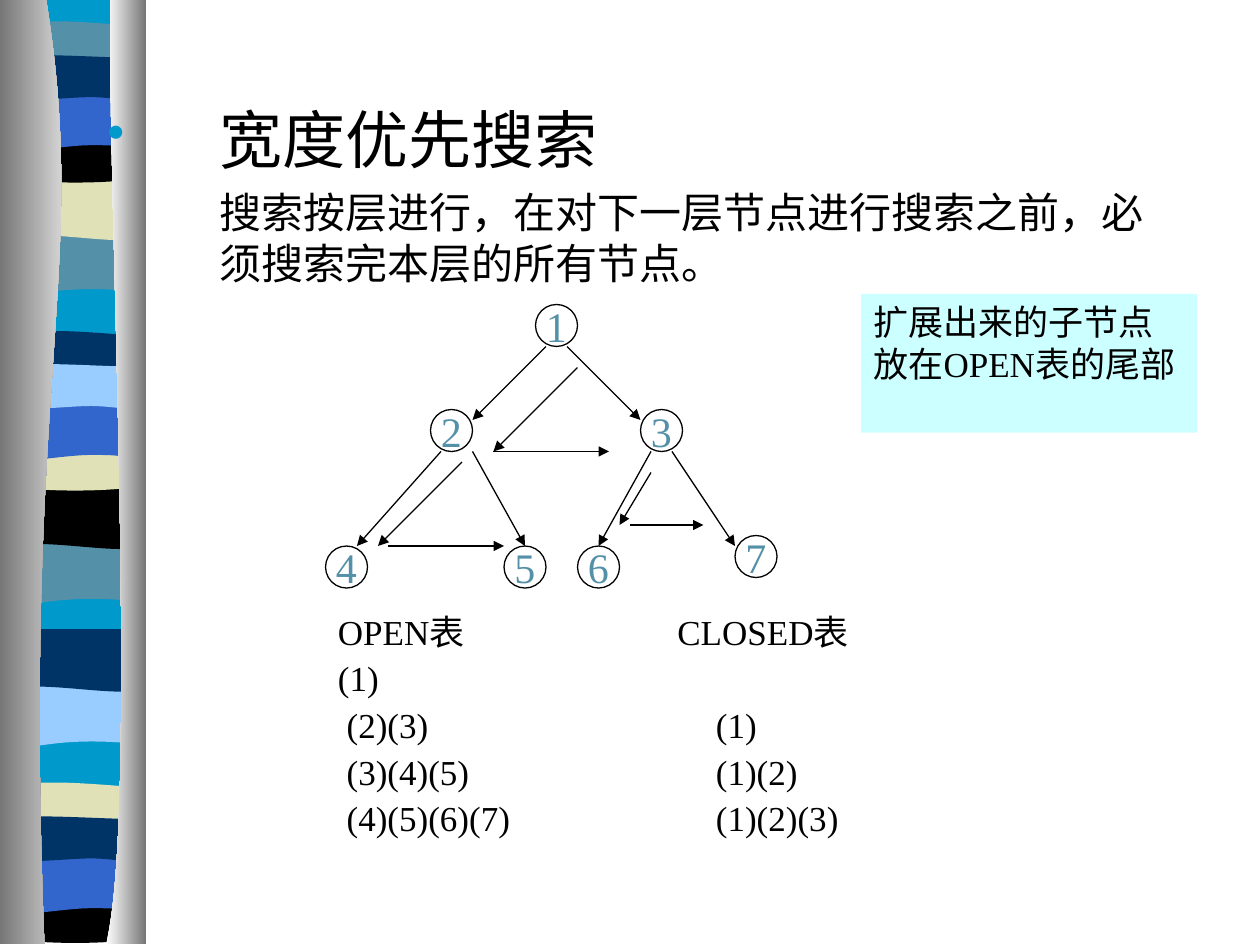
import pptx
import pptx.dml.color
import pptx.enum.shapes
import pptx.enum.text
import pptx.oxml
import pptx.oxml.ns
import pptx.util

Pt = pptx.util.Pt
BLACK, CYAN, STEEL, NAVY = "000000", "0099CC", "5490A8", "003366"
BLUE, SKY, SAND, GREY, WHITE = "3366CC", "99CCFF", "E1E1B7", "767676", "FFFFFF"


def colour(code):
    return pptx.dml.color.RGBColor.from_string(code)


def add_xml(parent, tag, **attributes):
    element = parent.makeelement(pptx.oxml.ns.qn("a:" + tag), attributes)
    parent.append(element)
    return element


def bend(shape, edges):
    """Turn the line segments of every edge of 3n + 1 points into Bezier curves."""
    lines = list(shape._element.iter(pptx.oxml.ns.qn("a:lnTo")))
    position = 0
    for edge in edges:
        if len(edge) % 3 == 1 and len(edge) > 1:
            for first in range(position, position + len(edge) - 1, 3):
                start, *others = lines[first:first + 3]
                start.tag = pptx.oxml.ns.qn("a:cubicBezTo")
                for line in others:
                    start.append(line[0])
                    line.getparent().remove(line)
        position += len(edge)


class Painter:
    """Draws elements on the current slide in one style; lengths in points."""

    serif = "Times New Roman"
    line_width = 0.75

    def __init__(self, page):
        self.page = page
        self.shapes = page.shapes

    def outline(self, edges, fills):
        """Closed outline of edges: one colour, or two for a left-to-right gradient."""
        corners = [(Pt(x), Pt(y)) for edge in edges for x, y in edge]
        builder = self.shapes.build_freeform(*corners[0])
        builder.add_line_segments(corners[1:], close=True)
        shape = builder.convert_to_shape()
        bend(shape, edges)
        shape.shadow.inherit = False
        shape.line.fill.background()
        if len(fills) == 1:
            shape.fill.solid()
            shape.fill.fore_color.rgb = colour(fills[0])
        else:
            shape.fill.gradient()
            shape.fill.gradient_angle = 0
            for stop, code in zip(shape.fill.gradient_stops, fills):
                stop.color.rgb = colour(code)

    def span(self, para, text, size, font=serif, code=BLACK):
        span = para.add_run()
        span.text = text
        span.font.size = Pt(size)
        span.font.name = font
        span.font.color.rgb = colour(code)

    def text_box(self, left, top, width, height, fill=None):
        box = self.shapes.add_textbox(Pt(left), Pt(top), Pt(width), Pt(height))
        box.text_frame.word_wrap = True
        if fill:
            box.fill.solid()
            box.fill.fore_color.rgb = colour(fill)
        return box.text_frame

    def indent(self, para, margin):
        properties = para._p.get_or_add_pPr()
        properties.set("marL", str(Pt(margin)))
        return properties

    def bullet(self, para, margin, code):
        properties = self.indent(para, margin)
        properties.set("indent", str(Pt(-margin)))
        add_xml(add_xml(properties, "buClr"), "srgbClr", val=code)
        add_xml(properties, "buSzPct", val="80000")
        add_xml(properties, "buChar", char="•")

    def tab_stop(self, para, position):
        tabs = add_xml(para._p.get_or_add_pPr(), "tabLst")
        add_xml(tabs, "tab", pos=str(Pt(position)), algn="l")

    def node(self, label, left, top, size=24):
        circle = self.shapes.add_shape(
            pptx.enum.shapes.MSO_SHAPE.OVAL, Pt(left), Pt(top), Pt(size), Pt(size))
        circle.shadow.inherit = False
        circle.fill.background()
        circle.line.color.rgb = colour(BLACK)
        circle.line.width = Pt(self.line_width)
        frame = circle.text_frame
        frame.word_wrap = False
        frame.vertical_anchor = pptx.enum.text.MSO_ANCHOR.MIDDLE
        para = frame.paragraphs[0]
        para.alignment = pptx.enum.text.PP_ALIGN.CENTER
        self.span(para, label, 24, code=STEEL)
        return circle

    def arrow(self, start, end, target=None):
        """Arrow between two points; joined to the top of target if given."""
        arrow = self.shapes.add_connector(
            pptx.enum.shapes.MSO_CONNECTOR.STRAIGHT, *map(Pt, start + end))
        if target:
            arrow.end_connect(target, 0)
        arrow.line.color.rgb = colour(BLACK)
        arrow.line.width = Pt(self.line_width)
        add_xml(arrow.line._get_or_add_ln(), "tailEnd", type="triangle")
        add_xml(arrow._element.spPr, "effectLst")


# Each band shape: top edge from left to right, bottom edge from right to left.
LEFT, RIGHT = 4, 82
FLAT = [(LEFT, 0), (RIGHT, 0)]
BANDS = {
    "wave": (FLAT, [(RIGHT, 34), (28, 28), (17, 39.6), (LEFT, 34)]),
    "swell": (FLAT, [(RIGHT, 34), (69, 39.6), (28, 29.5), (LEFT, 34)]),
    "thin": ([(LEFT, 3.6), (8.6, 0), (21, 0.7), (34, 0.7), (47, 0.7), (72, 3), (RIGHT, 3.6)],
             [(RIGHT, 21), (69, 24), (17, 24), (LEFT, 21)]),
    "sag": ([(LEFT, 0), (52, 3.6), (65.5, 0), (RIGHT, 0)],
            [(RIGHT, 23), (69, 27.4), (17, 27.4), (LEFT, 23)]),
    "arch": (FLAT, [(RIGHT, 34), (70, 30), (65, 30), (52, 30), (39, 30), (16, 34), (LEFT, 34)]),
    "ripple": ([(LEFT, 3.6), (15, 0), (57, 3.6), (RIGHT, 3.6)],
               [(RIGHT, 26), (77, 29.5), (65, 26), (52, 26), (39, 26), (12, 29.5), (LEFT, 26)]),
}
STRIPES = [
    ("wave", 133, STEEL), ("swell", 101.5, SAND), ("thin", 11.5, STEEL),
    ("sag", 78, BLACK), ("arch", 53, BLUE), ("ripple", 29.5, NAVY),
    ("wave", 310, STEEL), ("swell", 278, BLACK), ("thin", 188.5, NAVY),
    ("sag", 254, SAND), ("arch", 230, BLUE), ("ripple", 206, SKY),
    ("wave", 391.5, SKY), ("swell", 359.5, NAVY), ("thin", 446.5, SAND),
    ("sag", 512.5, BLACK), ("arch", 489, BLUE), ("ripple", 464.5, NAVY),
]
NODES = {"1": (306, 174), "2": (246, 234), "3": (366, 234), "4": (186, 312),
         "5": (288, 312), "6": (330, 312), "7": (420, 306)}
ARROWS = [
    ((312, 198), (270, 240), None), ((324, 198), (366, 240), None),
    ((252, 258), (204, 312), None), ((270, 258), (300, 312), "5"),
    ((372, 258), (342, 312), "6"), ((384, 258), (420, 312), None),
    ((330, 210), (282, 258), None), ((282, 258), (348, 258), None),
    ((264, 264), (216, 312), None), ((222, 312), (288, 312), None),
    ((372, 270), (354, 300), None), ((360, 300), (402, 300), None),
]
LISTS = [("OPEN表", "CLOSED表"), ("(1)", ""), ("(2)(3)", "(1)"),
         ("(3)(4)(5)", "(1)(2)"), ("(4)(5)(6)(7)", "(1)(2)(3)")]


def draw_border(painter):
    painter.outline([FLAT, [(RIGHT, 538), (LEFT, 538)]], [CYAN])
    for kind, top, code in STRIPES:
        painter.outline([[(x, y + top) for x, y in edge] for edge in BANDS[kind]], [code])
    left_edge = [(26.4, 0), (51.4, 155.5), (12.4, 213), (25.4, 539.5)]
    painter.outline([left_edge, [(0, 539.5), (0, 0)]], [GREY, WHITE])
    right_edge = [(63.2, 0), (60.6, 90), (80, 465), (60.6, 539.5)]
    painter.outline([right_edge, [(83.5, 539.5), (83.5, 0)]], [WHITE, GREY])


def draw_text(painter):
    frame = painter.text_box(54.3, 54, 612, 426)
    para = frame.paragraphs[0]
    painter.bullet(para, 64, CYAN)
    painter.span(para, "宽度优先搜索", 36, "Arial")
    para = frame.add_paragraph()
    painter.indent(para, 64)
    para.space_before = Pt(6)
    painter.span(para, "搜索按层进行，在对下一层节点进行搜索之前，必须搜索完本层的所有节点。", 24, "Arial")


def draw_tree(painter):
    nodes = {label: painter.node(label, *place) for label, place in NODES.items()}
    for start, end, target in ARROWS:
        painter.arrow(start, end, nodes.get(target))


def draw_lists(painter):
    note = painter.text_box(492, 168, 192, 79.2, "CCFFFF")
    painter.span(note.paragraphs[0], "扩展出来的子节点放在OPEN表的尾部", 20)
    frame = painter.text_box(186, 348, 438, 172)
    for row, (opened, closed) in enumerate(LISTS):
        para = frame.add_paragraph() if row else frame.paragraphs[0]
        if row > 1:
            painter.indent(para, 5)
        if closed:
            painter.tab_stop(para, 211 if row else 194)
        para.line_spacing = 0.9
        if row:
            para.space_before = Pt(5)
        painter.span(para, opened + "\t" + closed if closed else opened, 20)


def main():
    deck = pptx.Presentation()
    deck.slide_width, deck.slide_height = Pt(720), Pt(540)
    painter = Painter(deck.slides.add_slide(deck.slide_layouts[6]))
    draw_border(painter)
    draw_text(painter)
    draw_tree(painter)
    draw_lists(painter)
    deck.save("out.pptx")


if __name__ == "__main__":
    main()
